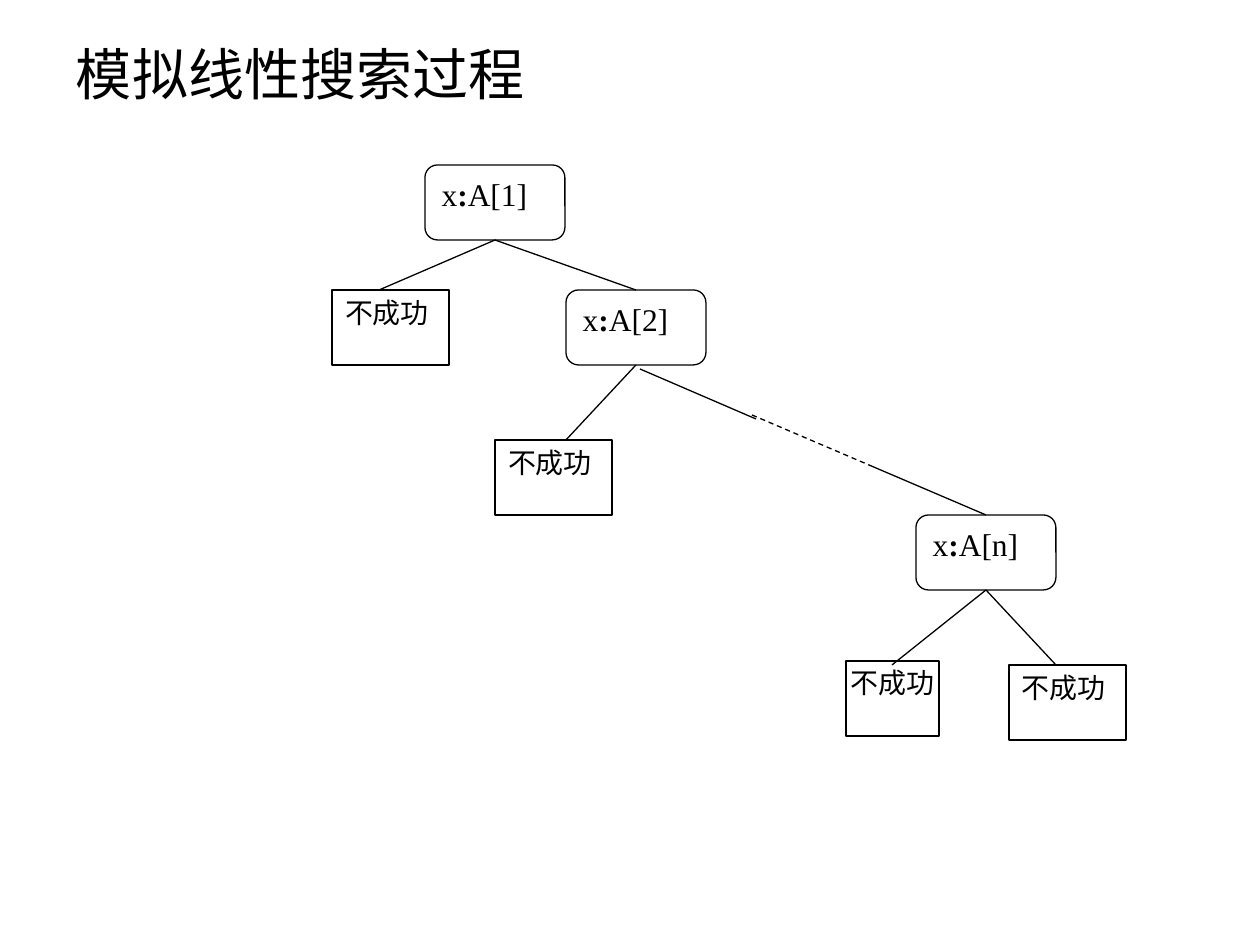
import pptx
import pptx.util
import pptx.dml.color
import pptx.enum.dml
import pptx.enum.shapes
import pptx.enum.text
import pptx.oxml

SCALE = 914400 / 126  # EMU in one px
INK = {"line": "000000", "text": "000000", "fill": "FFFFFF"}
SHAPE = pptx.enum.shapes.MSO_SHAPE
ALIGN = pptx.enum.text.PP_ALIGN
ANCHOR = pptx.enum.text.MSO_ANCHOR
SIDES = ("margin_left", "margin_top", "margin_right", "margin_bottom")
TOP, BOTTOM = 0, 2

SERIF = {"name": "Times New Roman", "bold": False}
NODE = {**SERIF, "size": pptx.util.Pt(18)}
LEAF = {**SERIF, "size": pptx.util.Pt(16)}
HEAD = {"name": "Arial", "bold": False, "size": pptx.util.Pt(32)}


def px(*nums):
    return [pptx.util.Emu(round(n * SCALE)) for n in nums]


def color(key):
    return pptx.dml.color.RGBColor.from_string(INK[key])


def set_all(item, vals):
    for key, val in vals.items():
        setattr(item, key, val)


def write(frame, runs, font, align, anchor, pads):
    """Fill a text frame with (text, extra format) runs."""
    set_all(frame, {"word_wrap": True, "vertical_anchor": anchor,
                    **dict(zip(SIDES, px(*pads)))})
    para = frame.paragraphs[0]
    para.alignment = align
    for text, extra in runs:
        run = para.add_run()
        run.text = text
        set_all(run.font, {**font, **extra})
        run.font.color.rgb = color("text")


def stroke(line):
    line.color.rgb = color("line")
    line.width = pptx.util.Pt(0.75)


def add_box(slide, kind, area, runs, font, pads=(13, 6, 13, 6)):
    box = slide.shapes.add_shape(kind, *px(*area))
    box.shadow.inherit = False
    box.fill.solid()
    box.fill.fore_color.rgb = color("fill")
    stroke(box.line)
    write(box.text_frame, runs, font, ALIGN.JUSTIFY, ANCHOR.TOP, pads)
    return box


def add_node(slide, left, top, key):
    runs = [("x", {}), (":", {"bold": True}), (f"A[{key}]", {})]
    return add_box(slide, SHAPE.ROUNDED_RECTANGLE, (left, top, 140, 75), runs, NODE)


def add_leaf(slide, left, top, width=117, **pads):
    return add_box(slide, SHAPE.RECTANGLE, (left, top, width, 75),
                   [("不成功", {})], LEAF, **pads)


def add_edge(slide, start, end, tail=None, head=None, dash=False):
    """Draw a line, joined to the bottom of tail and the top of head."""
    kind = pptx.enum.shapes.MSO_CONNECTOR.STRAIGHT
    edge = slide.shapes.add_connector(kind, *px(*start, *end))
    stroke(edge.line)
    if dash:
        edge.line.dash_style = pptx.enum.dml.MSO_LINE.DASH
    if tail:
        edge.begin_connect(tail, BOTTOM)
    if head:
        edge.end_connect(head, TOP)
    props = edge.element.spPr
    props.append(pptx.oxml.parse_xml(
        '<a:effectLst xmlns:a="http://schemas.openxmlformats.org/drawingml/2006/main"/>'))


def add_title(slide, text):
    title = slide.shapes.title
    set_all(title, dict(zip(("left", "top", "width", "height"), px(63, 38, 1134, 71))))
    write(title.text_frame, [(text, {})], HEAD, ALIGN.LEFT, ANCHOR.MIDDLE, (13, 6, 13, 6))


def main():
    deck = pptx.Presentation()
    deck.slide_width, deck.slide_height = px(1260, 945)
    slide = deck.slides.add_slide(deck.slide_layouts[5])
    add_title(slide, "模拟线性搜索过程")

    # Comparison nodes
    first = add_node(slide, 425, 165, 1)
    second = add_node(slide, 566, 290, 2)
    last = add_node(slide, 916, 515, "n")

    # Failure leaves
    add_leaf(slide, 332, 290)
    add_leaf(slide, 495, 440)
    add_leaf(slide, 846, 661, 93, pads=(5, 5, 0, 5))
    add_leaf(slide, 1009, 665)

    # Branches
    add_edge(slide, (495, 240), (636, 290), first, second)
    add_edge(slide, (495, 240), (379, 290), first)
    add_edge(slide, (636, 365), (566, 440), second)
    add_edge(slide, (986, 590), (892, 665), last)
    add_edge(slide, (986, 590), (1056, 665), last)

    # Long branch with its skipped part dashed
    add_edge(slide, (640, 369), (756, 419))
    add_edge(slide, (752, 415), (869, 465), dash=True)
    add_edge(slide, (869, 465), (986, 515), head=last)

    deck.save("out.pptx")


if __name__ == "__main__":
    main()
